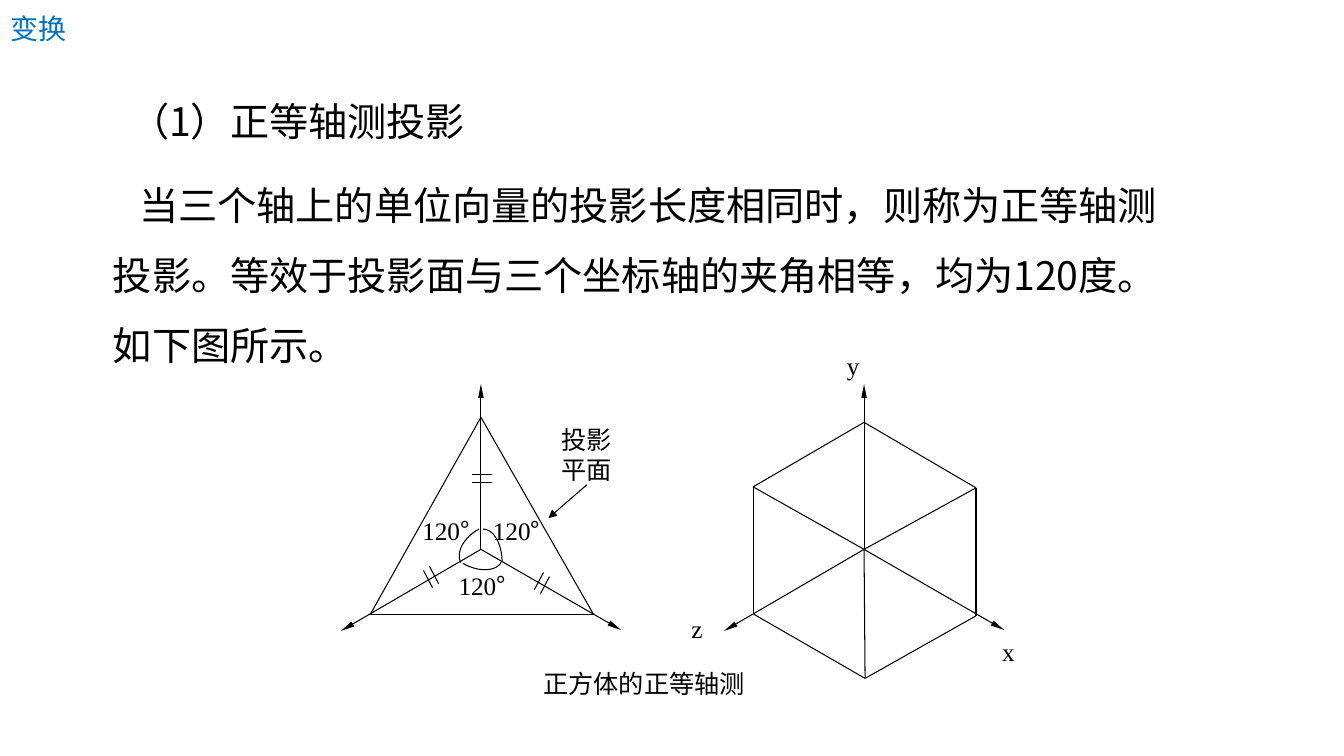
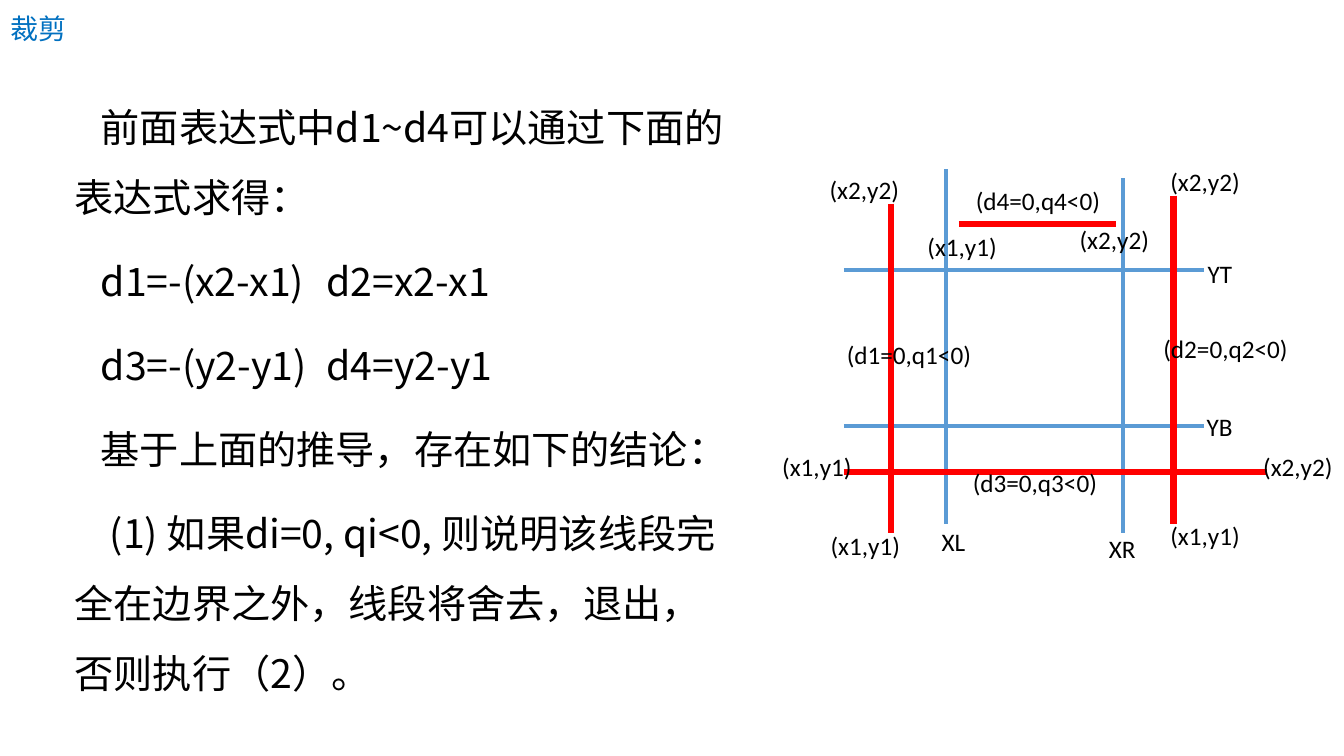
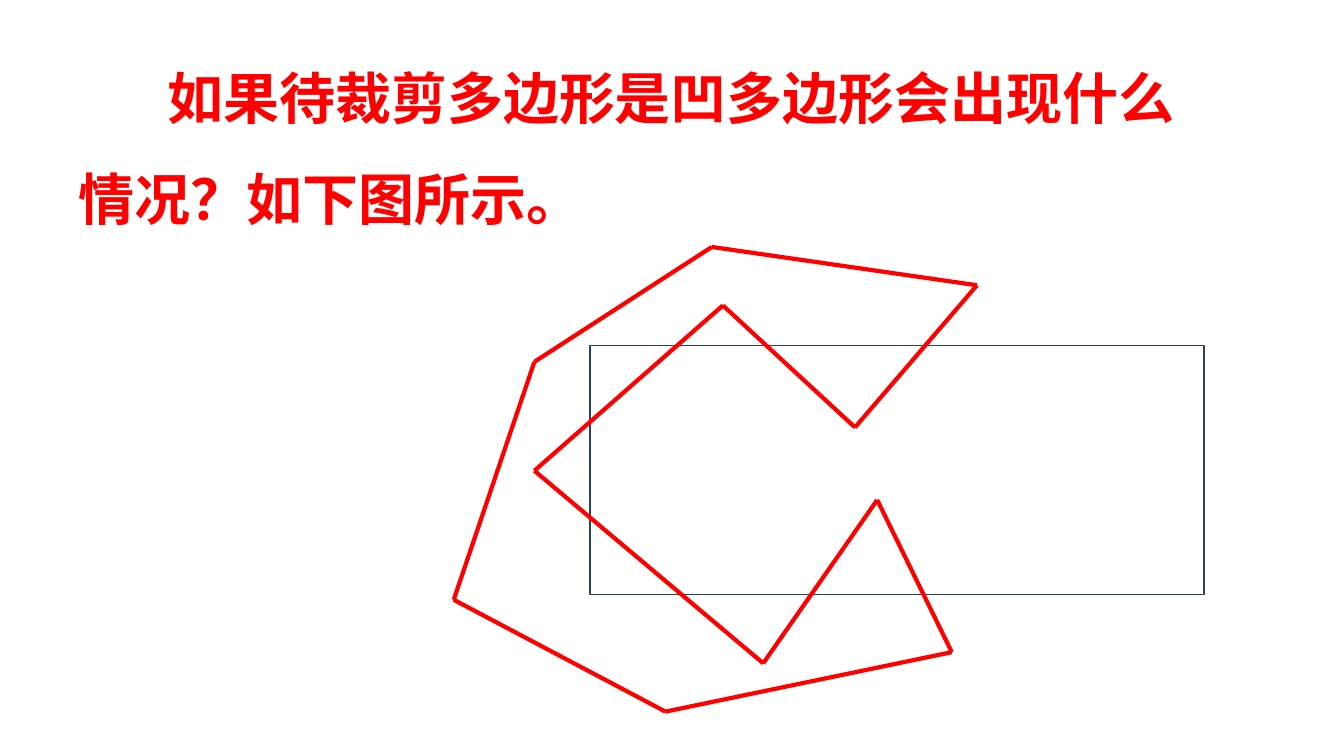
from dataclasses import dataclass
from itertools import pairwise

from lxml.etree import SubElement
from pptx import Presentation
from pptx.dml.color import RGBColor as Rgb
from pptx.enum.shapes import MSO_CONNECTOR as Connector, MSO_SHAPE as Preset
from pptx.enum.text import MSO_ANCHOR as Anchor, MSO_AUTO_SIZE as AutoSize, PP_ALIGN as Align
from pptx.oxml.ns import qn
from pptx.util import Pt

PX = 9144  # EMU per px, 100 px to the inch


@dataclass(frozen=True)
class Theme:
    black: Rgb = Rgb(0x00, 0x00, 0x00)
    red: Rgb = Rgb(0xFF, 0x00, 0x00)
    blue: Rgb = Rgb(0x5B, 0x9B, 0xD5)
    navy: Rgb = Rgb(0x28, 0x44, 0x5D)
    heading: Rgb = Rgb(0x00, 0x70, 0xC0)
    cjk: str = "Noto Sans CJK SC"
    serif: str = "Times New Roman"
    sans: str = "Calibri"
    title_size: Pt = Pt(20)
    body_size: Pt = Pt(28)
    question_size: Pt = Pt(40)
    label_size: Pt = Pt(18)
    thin: Pt = Pt(0.75)
    frame_line: Pt = Pt(1)
    medium: Pt = Pt(3)
    thick: Pt = Pt(4.5)


T = Theme()

# Text styles: frame, paragraph and font values, plus the colour
TITLE = dict(
    frame=dict(word_wrap=True, auto_size=AutoSize.NONE, vertical_anchor=Anchor.MIDDLE),
    paragraph=dict(alignment=Align.LEFT, line_spacing=0.9),
    font=dict(name=T.cjk, size=T.title_size, bold=False), color=T.heading)
BODY = dict(
    frame=dict(word_wrap=True, auto_size=AutoSize.NONE, vertical_anchor=Anchor.TOP),
    paragraph=dict(alignment=Align.LEFT, line_spacing=Pt(50), space_before=Pt(10)),
    font=dict(name=T.cjk, size=T.body_size, bold=False), color=T.black)
QUESTION = dict(
    frame=BODY["frame"],
    paragraph=dict(alignment=Align.LEFT, line_spacing=Pt(72)),
    font=dict(name=T.sans, size=T.question_size, bold=True), color=T.red)
FIGURE_LABEL = dict(
    frame=dict(word_wrap=True, auto_size=AutoSize.NONE),
    paragraph=dict(alignment=Align.LEFT, line_spacing=Pt(21)),
    font=dict(name=T.serif, size=T.label_size), color=T.black)
PLOT_LABEL = dict(
    frame=dict(word_wrap=False, auto_size=AutoSize.NONE),
    paragraph=dict(alignment=Align.LEFT),
    font=dict(name=T.sans, size=T.label_size), color=T.black)


def write(shape, box, paragraphs, style, tab=246):
    """Place a text shape and fill it with (text, first-line indent) pairs."""
    shape.left, shape.top, shape.width, shape.height = (v * PX for v in box)
    frame = shape.text_frame
    for key, value in style["frame"].items():
        setattr(frame, key, value)
    for number, (text, indent) in enumerate(paragraphs):
        line = frame.add_paragraph() if number else frame.paragraphs[0]
        props = line._p.get_or_add_pPr()
        props.set("marL", "0")
        props.set("indent", str(indent * PX))
        SubElement(props, qn("a:buNone"))
        if "\t" in text:
            stops = SubElement(props, qn("a:tabLst"))
            SubElement(stops, qn("a:tab"), pos=str(tab * PX), algn="l")
        for key, value in style["paragraph"].items():
            setattr(line, key, value)
        if number == 0:
            line.space_before = Pt(0)
        for part in filter(None, text.partition("°")):
            run = line.add_run()
            run.text = part
            for key, value in style["font"].items():
                setattr(run.font, key, value)
            run.font.color.rgb = style["color"]
            if part == "°":
                run.font.name = T.cjk
            SubElement(run._r.get_or_add_rPr(), qn("a:ea"), typeface=T.cjk)


def draw_line(slide, start, end, color, width, arrow=None):
    """Draw a straight line; arrow is the (width, length) of its head."""
    line = slide.shapes.add_connector(
        Connector.STRAIGHT, *(v * PX for v in (*start, *end)))
    line.line.color.rgb = color
    line.line.width = width
    if arrow:
        SubElement(line.line._get_or_add_ln(), qn("a:tailEnd"),
                   type="triangle", w=arrow[0], len=arrow[1])
    SubElement(line._element.spPr, qn("a:effectLst"))


deck = Presentation()
deck.slide_width, deck.slide_height = 1333 * PX, 750 * PX
content_layout = deck.slide_layouts[1]

# Titles and body text of all slides
pages = [
    ("变换", (102, 69, 1077, 333), BODY, [
        ("（1）正等轴测投影", 17),
        ("当三个轴上的单位向量的投影长度相同时，则称为正等轴测投影。"
         "等效于投影面与三个坐标轴的夹角相等，均为120度。如下图所示。", 26)]),
    ("裁剪", (64, 75, 668, 615), BODY, [
        ("前面表达式中d1~d4可以通过下面的表达式求得：", 26),
        ("d1=-(x2-x1)\td2=x2-x1", 26),
        ("d3=-(y2-y1)\td4=y2-y1", 26),
        ("基于上面的推导，存在如下的结论：", 26),
        ("(1) 如果di=0, qi<0, 则说明该线段完全在边界之外，"
         "线段将舍去，退出，否则执行（2）。", 35)]),
    (None, (68, 25, 1150, 206), QUESTION, [
        ("如果待裁剪多边形是凹多边形会出现什么情况？如下图所示。", 88)]),
]
slides = []
for heading, body_box, body_style, paragraphs in pages:
    slide = deck.slides.add_slide(content_layout)
    title = slide.shapes.title
    if heading:
        write(title, (0, 0, 148, 60), [(heading, 0)], TITLE)
    else:
        title._element.getparent().remove(title._element)
    write(slide.placeholders[1], body_box, paragraphs, body_style)
    slides.append(slide)
projection, clipping, concave = slides

# Slide 1: axes of the triangle and of the cube
triangle_center, cube_center = (477, 545), (857, 545)
for center in (triangle_center, cube_center):
    for dx, dy in ((0, -164), (139, 80), (-139, 81)):
        tip = (center[0] + dx, center[1] + dy)
        draw_line(projection, center, tip, T.black, T.thin, ("sm", "lg"))

# Slide 1: outlines, cube edges and equal-length ticks
triangle = [(477, 414), (589, 610), (367, 610)]
hexagon = [(857, 419), (968, 484), (968, 611), (858, 673), (747, 609), (747, 483)]
edges = [*pairwise(triangle + triangle[:1]), *pairwise(hexagon + hexagon[:1])]
edges += [(cube_center, hexagon[corner]) for corner in (1, 3, 5)]
edges += [((468, y), (488, y)) for y in (471, 479)]
edges += [((x, y), (x + 9, y + 17)) for x, y in ((420, 566), (426, 562))]
edges += [((x, y), (x - 9, y + 17)) for x, y in ((545, 572), (539, 568))]
for start, end in edges:
    draw_line(projection, start, end, T.black, T.thin)
draw_line(projection, (582, 481), (544, 514), T.black, T.thin, ("med", "med"))

# Slide 1: angle arcs, each a cubic curve in short steps
STEPS = 16
for curve in (
    ((479, 525), (490, 525), (498, 540), (498, 558)),
    ((497, 558), (492, 567), (475, 568), (459, 559)),
    ((457, 558), (452, 548), (460, 533), (475, 525)),
):
    points = []
    for step in range(STEPS + 1):
        t = step / STEPS
        weights = ((1 - t) ** 3, 3 * t * (1 - t) ** 2, 3 * t * t * (1 - t), t ** 3)
        points.append(tuple(round(PX * sum(w * v for w, v in zip(weights, axis)))
                            for axis in zip(*curve)))
    outline = projection.shapes.build_freeform(*points[0], scale=1.0)
    outline.add_line_segments(points[1:], close=False)
    arc = outline.convert_to_shape()
    arc.shadow.inherit = False
    arc.fill.background()
    arc.line.color.rgb = T.black
    arc.line.width = T.thin

# Slide 1: labels
for box, *texts in (
    ((409, 507, 103, 54), "120°"),
    ((479, 507, 103, 54), "120°"),
    ((445, 562, 103, 54), "120°"),
    ((529, 659, 269, 54), "正方体的正等轴测"),
    ((547, 417, 123, 70), "投影", "平面"),
    ((830, 343, 55, 54), "y"),
    ((676, 604, 55, 54), "z"),
    ((984, 627, 55, 54), "x"),
):
    write(projection.shapes.add_textbox(0, 0, 0, 0), box,
          [(text, 0) for text in texts], FIGURE_LABEL)

# Slide 2: window borders in blue, clipped segments in red
borders = [((837, 268), (1194, 268)), ((938, 168), (938, 520)),
           ((837, 423), (1194, 423)), ((1114, 177), (1114, 529))]
segments = [((884, 202), (884, 529)), ((1164, 194), (1164, 520)),
            ((951, 222), (1107, 222)), ((837, 468), (1257, 468))]
for lines, color, width in ((borders, T.blue, T.medium), (segments, T.red, T.thick)):
    for start, end in lines:
        draw_line(clipping, start, end, color, width)

# Slide 2: labels, grouped by text width
plot_labels = {
    46: [("XL", 924, 517), ("XR", 1090, 524), ("YT", 1188, 251), ("YB", 1187, 403)],
    90: [("(x1,y1)", 1151, 511), ("(x2,y2)", 813, 168), ("(x1,y1)", 814, 521),
         ("(x2,y2)", 1151, 160), ("(x1,y1)", 910, 225), ("(x2,y2)", 1061, 218),
         ("(x1,y1)", 766, 443), ("(x2,y2)", 1243, 443)],
    145: [("(d1=0,q1<0)", 830, 332), ("(d2=0,q2<0)", 1144, 326),
          ("(d3=0,q3<0)", 955, 459), ("(d4=0,q4<0)", 958, 179)],
}
for width, labels in plot_labels.items():
    for text, left, top in labels:
        write(clipping.shapes.add_textbox(0, 0, 0, 0), (left, top, width, 40),
              [(text, 0)], PLOT_LABEL)

# Slide 3: clipping window and concave polygon
window = concave.shapes.add_shape(
    Preset.RECTANGLE, *(v * PX for v in (585, 343, 609, 247)))
window.shadow.inherit = False
window.fill.background()
window.line.color.rgb = T.navy
window.line.width = T.frame_line

polygon = [(530, 467), (717, 303), (848, 424), (969, 283), (706, 245), (530, 359),
           (450, 595), (660, 706), (944, 647), (870, 496), (757, 658)]
for start, end in pairwise(polygon + polygon[:1]):
    draw_line(concave, start, end, T.red, T.medium)

deck.save("out.pptx")
